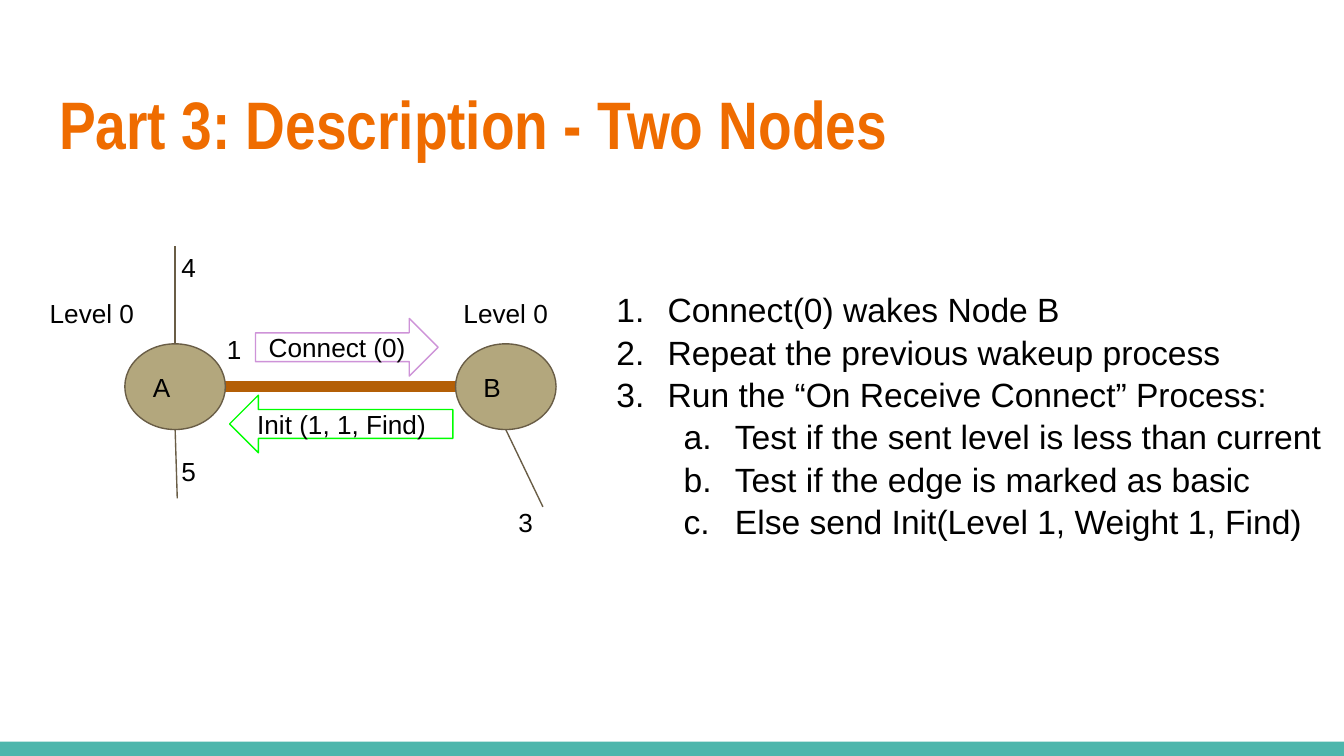
from lxml.etree import SubElement
from pptx import Presentation
from pptx.dml.color import RGBColor
from pptx.enum.shapes import MSO_CONNECTOR as Link, MSO_SHAPE as Kind
from pptx.enum.text import MSO_ANCHOR as Anchor, PP_ALIGN as Align
from pptx.oxml.ns import qn
from pptx.util import Cm, Pt

BROWN = "695D46"
TAN = "B3A77D"
RUST = "B45F06"


def color(code):
    return RGBColor.from_string(code)


def write(frame, text, size=14, font="Arial", ink="000000", bold=False,
          space=1.0, anchor=Anchor.TOP):
    frame.word_wrap = True
    frame.vertical_anchor = anchor
    frame.margin_left = frame.margin_right = Cm(0.25)
    frame.margin_top = frame.margin_bottom = Cm(0.25)
    for i, line in enumerate(text.split("\n")):
        para = frame.add_paragraph() if i else frame.paragraphs[0]
        para.alignment = Align.LEFT
        para.line_spacing = space
        run = para.add_run()
        run.text = line
        run.font.size = Pt(size)
        run.font.name = font
        run.font.bold = bold
        run.font.color.rgb = color(ink)


def label(slide, box, text, **style):
    frame = slide.shapes.add_textbox(*map(Cm, box)).text_frame
    write(frame, text, **style)
    return frame


def block(slide, kind, box, fill=None, edge=None, flip=False, text=None):
    shape = slide.shapes.add_shape(kind, *map(Cm, box))
    shape.shadow.inherit = False
    if fill:
        shape.fill.solid()
        shape.fill.fore_color.rgb = color(fill)
    else:
        shape.fill.background()
    if edge:
        shape.line.color.rgb = color(edge)
        shape.line.width = Pt(0.75)
    else:
        shape.line.fill.background()
    if flip:
        shape.element.spPr.xfrm.set("flipH", "1")
    if text:
        write(shape.text_frame, text, anchor=Anchor.MIDDLE)


def line(slide, ends, ink=BROWN, width=0.75):
    wire = slide.shapes.add_connector(Link.STRAIGHT, *map(Cm, ends))
    wire.line.color.rgb = color(ink)
    wire.line.width = Pt(width)
    SubElement(wire.element.spPr, qn("a:effectLst"))


def title(slide, box):
    label(slide, box, "Part 3: Description - Two Nodes", size=36,
          font="Arial Narrow", ink="EF6C00", bold=True, space=1.05)


def graph(slide, box):
    left, top = box[:2]
    wide, high = 1.9, 1.62
    node_y = 2.0
    mid = node_y + high / 2
    foot = node_y + high
    a, b = 1.67, 7.92
    a_mid, b_mid = a + wide / 2, b + wide / 2

    wires = [
        ((a_mid, node_y, a_mid, 0.15), BROWN, 0.75),
        ((a_mid, foot, a_mid + 0.04, 4.92), BROWN, 0.75),
        ((b_mid, foot, 9.57, 5.08), BROWN, 0.75),
        ((a + wide, mid, 5.66, mid), RUST, 6),
        ((b, mid, 5.58, mid), RUST, 6),
    ]
    for (x1, y1, x2, y2), ink, width in wires:
        line(slide, (left + x1, top + y1, left + x2, top + y2), ink, width)

    for x, name in ((a, "A"), (b, "B")):
        block(slide, Kind.OVAL, (left + x, top + node_y, wide, high),
              fill=TAN, edge=BROWN, text=name)

    arrows = [
        (3.65, 2.97, 4.22, "00FF00", True, "Init (1, 1, Find)"),
        (4.14, 1.52, 3.45, "CE93D8", False, "Connect (0)"),
    ]
    for x, y, span, edge, flip, text in arrows:
        block(slide, Kind.RIGHT_ARROW, (left + x, top + y, span, 1.09),
              edge=edge, flip=flip, text=text)

    notes = [
        (3.35, 1.55, 1.2, "1"), (2.49, 0, 1.2, "4"),
        (2.49, 3.86, 1.2, "5"), (8.86, 4.82, 1.2, "3"),
        (0, 0.88, 2.34, "Level 0"), (7.82, 0.88, 2.34, "Level 0"),
    ]
    for x, y, span, text in notes:
        label(slide, (left + x, top + y, span, 0.9), text)


def steps(slide, box):
    items = [
        (0, "Connect(0) wakes Node B"),
        (0, "Repeat the previous wakeup process"),
        (0, "Run the “On Receive Connect” Process:"),
        (1, "Test if the sent level is less than current"),
        (1, "Test if the edge is marked as basic"),
        (1, "Else send Init(Level 1, Weight 1, Find)"),
    ]
    frame = label(slide, box, "\n".join(text for _, text in items),
                  size=18, space=1.05)
    for para, (level, _) in zip(frame.paragraphs, items):
        para.level = level
        props = para._p.get_or_add_pPr()
        props.set("marL", str(Cm(1.27 * (level + 1))))
        props.set("indent", str(Cm(-0.97)))
        SubElement(props, qn("a:buFont"), typeface="Arial")
        style = ("arabicPeriod", "alphaLcPeriod")[level]
        SubElement(props, qn("a:buAutoNum"), type=style)


def main():
    deck = Presentation()
    deck.slide_width, deck.slide_height = Cm(25.4), Cm(14.29)
    slide = deck.slides.add_slide(deck.slide_layouts[6])
    block(slide, Kind.RECTANGLE, (0, 14.02, 25.4, 0.27), fill="4DB6AC")
    title(slide, (0.87, 1.24, 23.67, 1.96))
    graph(slide, (0.69, 4.5, 9.9, 6))
    steps(slide, (11.1, 5.18, 14.3, 8.41))
    deck.save("out.pptx")


if __name__ == "__main__":
    main()
